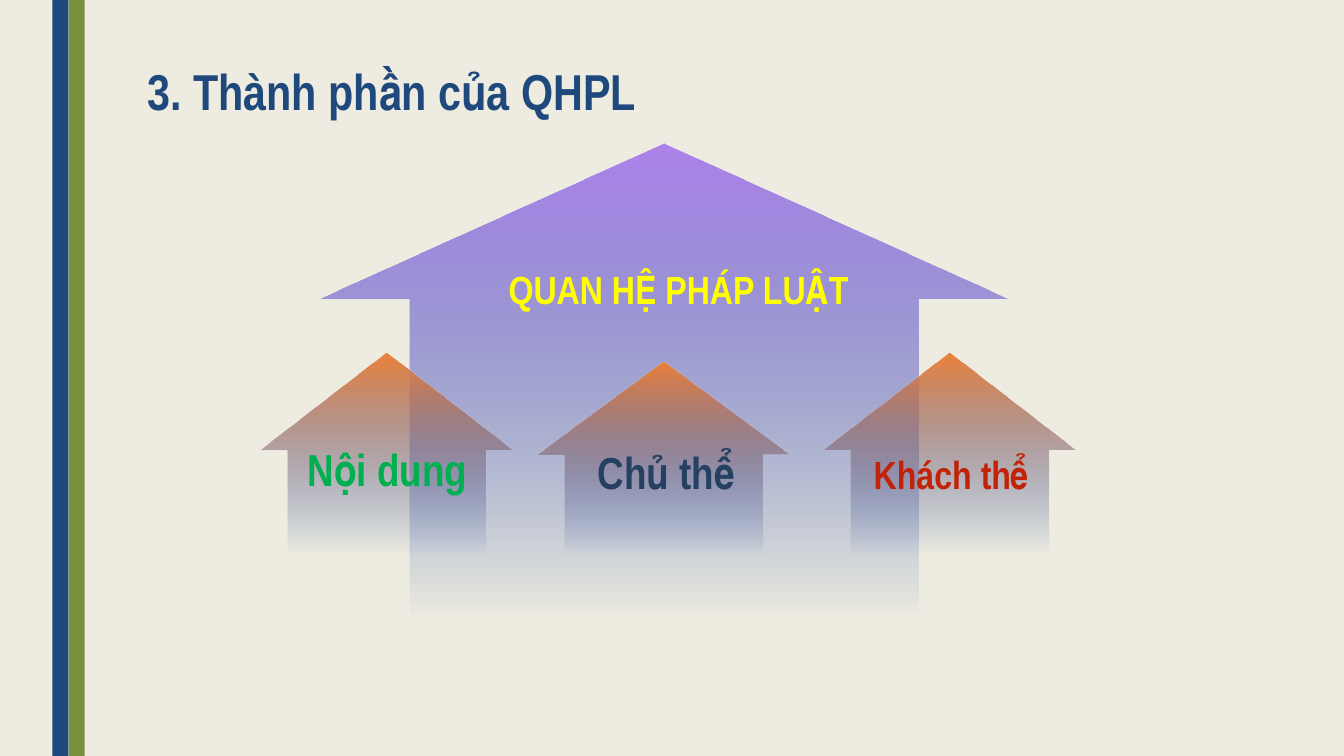
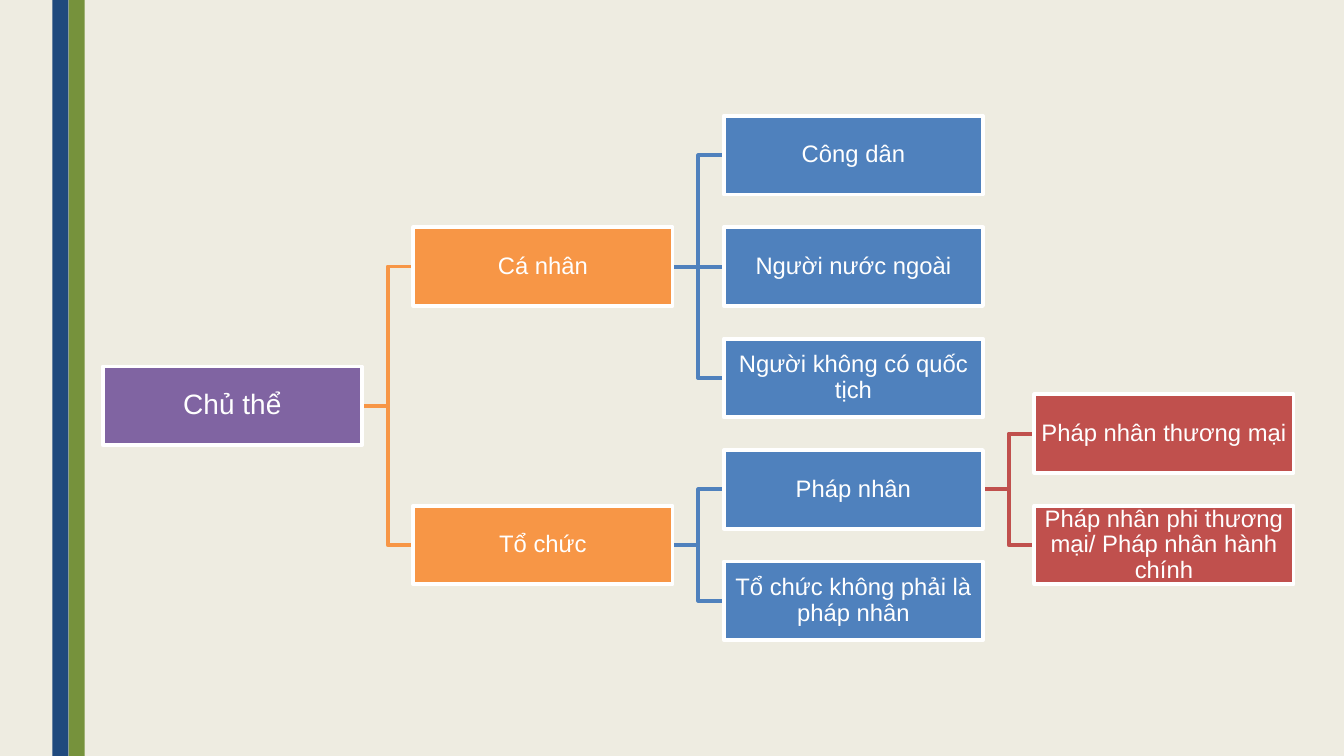
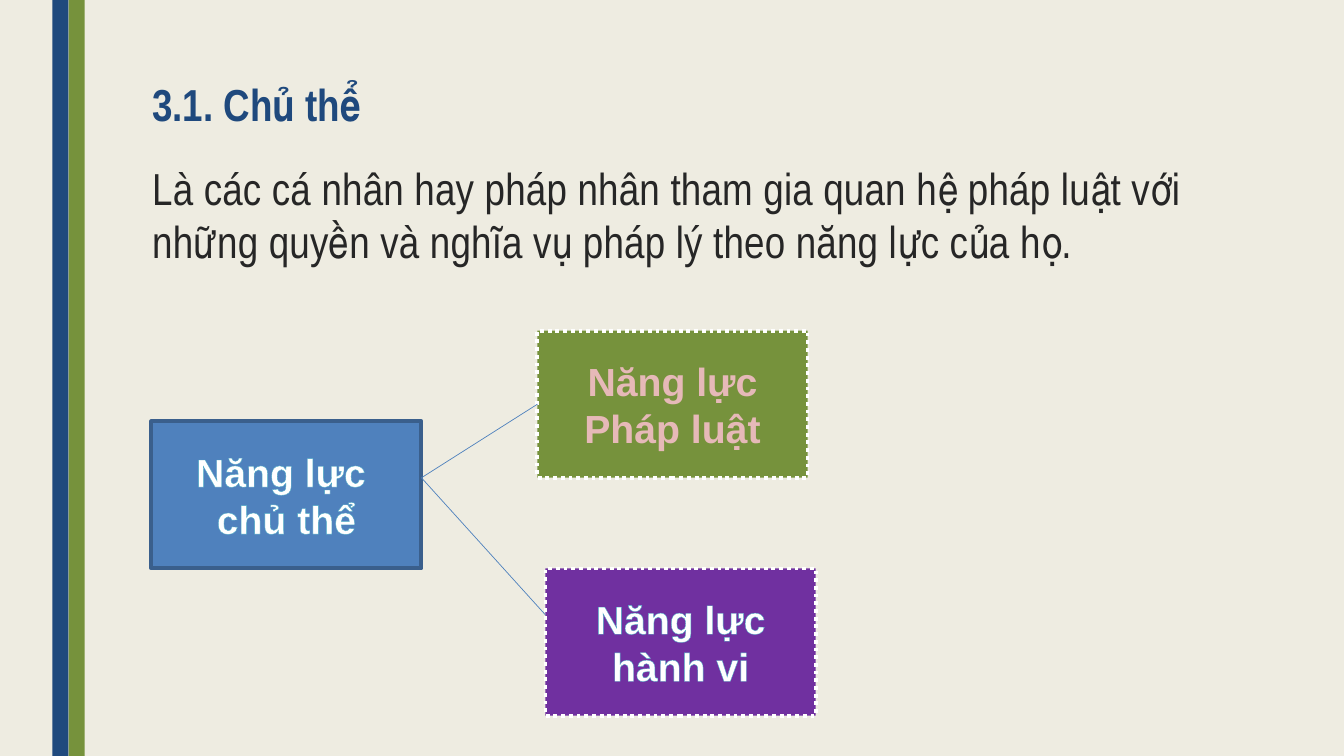
"""Build three slides on the components of a legal relationship."""
from dataclasses import dataclass
from typing import Optional

from lxml import etree
from pptx import Presentation
from pptx import util as u
from pptx.dml.color import RGBColor
from pptx.enum import dml, shapes, text
from pptx.oxml import ns


@dataclass(frozen=True)
class Theme:
    """Colours, fonts and type sizes used by the deck."""
    paper: str = "EEECE1"
    navy: str = "1F497D"
    olive: str = "76923C"
    white: str = "FFFFFF"
    ink: str = "262626"
    blue: str = "4F81BD"
    blue_edge: str = "3A5F8C"
    orange: str = "F79646"
    violet: str = "8064A2"
    red: str = "C0504D"
    purple: str = "7030A0"
    pink: str = "E6B9B8"
    aqua: str = "4BACC6"
    lilac: str = "AD83EB"
    amber: str = "EC823A"
    fade: str = "003399"
    yellow: str = "FFFF00"
    green: str = "00B050"
    slate: str = "254061"
    brick: str = "C22308"
    narrow: str = "Arial Narrow"
    sans: str = "Arial"
    title: int = 36
    heading: int = 32
    label: int = 28
    root: int = 20
    node: int = 17
    rule: float = 2.75


T = Theme()


@dataclass(frozen=True)
class Box:
    """A rectangle in inches."""
    left: float
    top: float
    width: float
    height: float

    def lengths(self) -> tuple:
        """Return the four measures as lengths."""
        return tuple(u.Inches(v) for v in (self.left, self.top, self.width, self.height))


@dataclass(frozen=True)
class Style:
    """The look of a block of text."""
    size: int
    colour: str
    font: str = T.narrow
    bold: bool = True
    centred: bool = True
    line_spacing: Optional[float] = None
    tracking: int = 0
    outline: Optional[tuple] = None


@dataclass(frozen=True)
class Arrow:
    """A house-shaped arrow with its label."""
    box: Box
    adjust: tuple
    colour: str
    label: str
    label_box: Box
    style: Style


@dataclass(frozen=True)
class Node:
    """A box of the tree, placed by level and row."""
    label: str
    level: int
    row: float
    parent: Optional[int] = None


@dataclass(frozen=True)
class Capacity:
    """A block of the capacity diagram."""
    label: str
    box: Box
    fill: str
    edge: str
    style: Style
    dotted: bool = True


def rgb(colour: str) -> RGBColor:
    """Turn a hex code into a colour."""
    return RGBColor.from_string(colour)


def write(frame, words: str, style: Style, margins: Optional[tuple] = None) -> None:
    """Fill a text frame, one paragraph for each line."""
    frame.word_wrap = True
    if margins:
        (frame.margin_left, frame.margin_top,
         frame.margin_right, frame.margin_bottom) = map(u.Inches, margins)
    for index, line in enumerate(words.split("\n")):
        paragraph = frame.add_paragraph() if index else frame.paragraphs[0]
        paragraph.text = line
        paragraph.alignment = text.PP_ALIGN.CENTER if style.centred else text.PP_ALIGN.LEFT
        if style.line_spacing:
            paragraph.line_spacing = style.line_spacing
        font = paragraph.font
        font.name, font.size, font.bold = style.font, u.Pt(style.size), style.bold
        font.color.rgb = rgb(style.colour)
        defaults = paragraph._p.pPr.find(ns.qn("a:defRPr"))
        if style.tracking:
            defaults.set("spc", str(style.tracking))
        if style.outline:
            colour, points = style.outline
            edge = etree.Element(ns.qn("a:ln"), w=str(u.Pt(points)))
            paint = etree.SubElement(edge, ns.qn("a:solidFill"))
            etree.SubElement(paint, ns.qn("a:srgbClr"), val=colour)
            defaults.insert(0, edge)


def add_words(slide, box: Box, words: str, style: Style, margins: Optional[tuple] = None) -> None:
    """Add a text box."""
    write(slide.shapes.add_textbox(*box.lengths()).text_frame, words, style, margins)


def add_block(slide, box: Box, fill: str, edge: Optional[str] = None):
    """Add a flat rectangle."""
    block = slide.shapes.add_shape(shapes.MSO_SHAPE.RECTANGLE, *box.lengths())
    block.shadow.inherit = False
    block.fill.solid()
    block.fill.fore_color.rgb = rgb(fill)
    if edge:
        block.line.color.rgb = rgb(edge)
        block.line.width = u.Pt(T.rule)
    else:
        block.line.fill.background()
    block.text_frame.vertical_anchor = text.MSO_ANCHOR.MIDDLE
    return block


def add_link(slide, kind, start: tuple, end: tuple, colour: str, points: float):
    """Add a connector without a shadow."""
    link = slide.shapes.add_connector(kind, *map(u.Inches, start + end))
    link.line.color.rgb = rgb(colour)
    link.line.width = u.Pt(points)
    etree.SubElement(link._element.spPr, ns.qn("a:effectLst"))
    return link


def add_arrow(slide, arrow: Arrow) -> None:
    """Add an up arrow that fades out towards its foot."""
    house = slide.shapes.add_shape(shapes.MSO_SHAPE.UP_ARROW, *arrow.box.lengths())
    house.shadow.inherit = False
    house.line.fill.background()
    for index, value in enumerate(arrow.adjust):
        house.adjustments[index] = value
    house.fill.gradient()
    house.fill.gradient_angle = 270
    for stop, colour in zip(house.fill.gradient_stops, (arrow.colour, T.fade)):
        stop.color.rgb = rgb(colour)
    foot = house._element.spPr.findall(".//" + ns.qn("a:srgbClr"))[-1]
    etree.SubElement(foot, ns.qn("a:alpha"), val="0")


def add_slide(prs):
    """Add a blank slide with the two side bands."""
    slide = prs.slides.add_slide(prs.slide_layouts[6])
    add_block(slide, Box(0.68, 0, 0.16, 7.5), T.olive)
    add_block(slide, Box(0.52, 0, 0.16, 7.5), T.navy)
    return slide


def build_components(prs) -> None:
    """Draw the legal relationship and its three parts."""
    slide = add_slide(prs)
    add_words(slide, Box(1.36, 0.62, 5.22, 1.25), "3. Thành phần của QHPL",
              Style(T.title, T.navy, centred=False, line_spacing=0.89))
    part = (0.783, 0.482)
    arrows = (
        Arrow(Box(3.17, 1.42, 6.83, 4.74), (0.738, 0.326), T.lilac, "QUAN HỆ PHÁP LUẬT",
              Box(4.25, 2.58, 4.96, 0.57), Style(T.label, T.yellow)),
        Arrow(Box(2.58, 3.5, 2.5, 2), part, T.amber, "Nội dung",
              Box(2.75, 4.33, 2.19, 0.64), Style(T.heading, T.green)),
        Arrow(Box(5.33, 3.59, 2.5, 1.91), part, T.amber, "Chủ thể",
              Box(5.67, 4.36, 1.88, 0.64), Style(T.heading, T.slate)),
        Arrow(Box(8.17, 3.5, 2.5, 2), part, T.amber, "Khách thể",
              Box(8.42, 4.42, 2.03, 0.57), Style(T.label, T.brick)),
    )
    for arrow in arrows:
        add_arrow(slide, arrow)
    for arrow in arrows:
        add_words(slide, arrow.label_box, arrow.label, arrow.style)


def build_subject_tree(prs) -> None:
    """Draw the tree of legal subjects."""
    slide = add_slide(prs)
    nodes = (
        Node("Chủ thể", 0, 2.25),
        Node("Cá nhân", 1, 1, 0),
        Node("Tổ chức", 1, 3.5, 0),
        Node("Công dân", 2, 0, 1),
        Node("Người nước ngoài", 2, 1, 1),
        Node("Người không có quốc tịch", 2, 2, 1),
        Node("Pháp nhân", 2, 3, 2),
        Node("Tổ chức không phải là pháp nhân", 2, 4, 2),
        Node("Pháp nhân thương mại", 3, 2.5, 6),
        Node("Pháp nhân phi thương mại/ Pháp nhân hành chính", 3, 3.5, 6),
    )
    level_fills = (T.violet, T.orange, T.blue, T.red)
    width, height = 2.57, 0.78
    left, top, bottom_row_top = 1.02, 1.15, 5.57
    column_step, row_step = 3.08, (bottom_row_top - top) / 4
    boxes = [Box(left + column_step * n.level, top + row_step * n.row, width, height)
             for n in nodes]
    blocks = []
    for node, box in zip(nodes, boxes):
        block = add_block(slide, box, level_fills[node.level], T.white)
        size = T.node if node.level else T.root
        write(block.text_frame, node.label,
              Style(size, T.white, T.sans, bold=False, line_spacing=0.9), (0.01,) * 4)
        blocks.append(block)
    for node, block in zip(nodes, blocks):
        if node.parent is None:
            continue
        link = add_link(slide, shapes.MSO_CONNECTOR.ELBOW, (0, 0), (1, 1),
                        level_fills[node.level], T.rule)
        link.begin_connect(blocks[node.parent], 3)
        link.end_connect(block, 1)
        blocks[0]._element.addprevious(link._element)


def build_capacity(prs) -> None:
    """Draw the definition of a subject and its capacities."""
    slide = add_slide(prs)
    add_words(slide, Box(1.5, 0.75, 10.5, 0.55), "3.1. Chủ thể",
              Style(T.heading, T.navy, centred=False), (0.01, 0.01, 0, 0))
    add_words(slide, Box(1.5, 1.53, 11.17, 1.75),
              "Là các cá nhân hay pháp nhân tham gia quan hệ pháp luật với những quyền "
              "và nghĩa vụ pháp lý theo năng lực của họ.",
              Style(T.heading, T.ink, bold=False, centred=False, tracking=15),
              (0.01, 0.06, 0, 0))
    light = Style(T.label, T.white, T.sans, outline=(T.aqua, 0.8))
    rosy = Style(T.label, T.pink, T.sans, outline=(T.red, 1.75))
    width, height = 2.68, 1.46
    capacities = (
        Capacity("Năng lực \nchủ thể", Box(1.5, 4.18, width, height),
                 T.blue, T.blue_edge, light, dotted=False),
        Capacity("Năng lực\nPháp luật", Box(5.33, 3.28, width, height),
                 T.olive, T.white, rosy),
        Capacity("Năng lực hành vi", Box(5.41, 5.64, width, height),
                 T.purple, T.white, light),
    )
    blocks = []
    for capacity in capacities:
        block = add_block(slide, capacity.box, capacity.fill, capacity.edge)
        if capacity.dotted:
            block.line.dash_style = dml.MSO_LINE.ROUND_DOT
        write(block.text_frame, capacity.label, capacity.style)
        blocks.append(block)
    fork = (4.18, 4.74)
    straight = shapes.MSO_CONNECTOR.STRAIGHT
    to_legal = add_link(slide, straight, fork, (5.33, 4.01), T.blue, 0.5)
    to_legal.end_connect(blocks[1], 1)
    add_link(slide, straight, fork, (5.41, 6.1), T.blue, 0.5)


def main() -> None:
    """Build and save the deck."""
    prs = Presentation()
    prs.slide_width, prs.slide_height = u.Inches(13.33), u.Inches(7.5)
    backdrop = prs.slide_master.background.fill
    backdrop.solid()
    backdrop.fore_color.rgb = rgb(T.paper)
    build_components(prs)
    build_subject_tree(prs)
    build_capacity(prs)
    prs.save("out.pptx")


if __name__ == "__main__":
    main()
